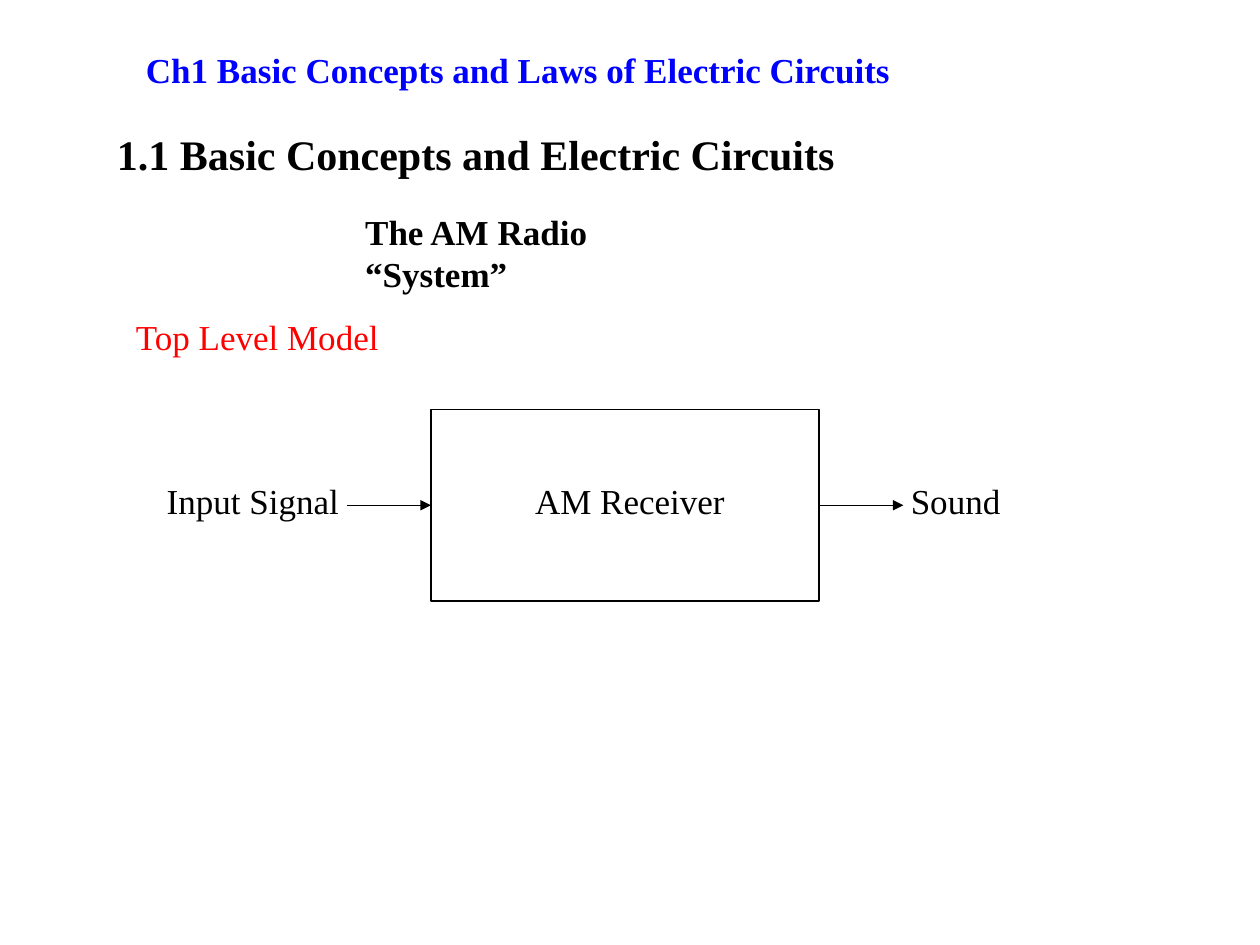
from lxml import etree
from pptx import Presentation
from pptx.dml.color import RGBColor
from pptx.enum import shapes, text
from pptx.oxml import ns
from pptx.util import Inches, Pt

BLACK = RGBColor(0, 0, 0)
BLUE = RGBColor(0, 0, 255)
RED = RGBColor(255, 0, 0)
LEFT, CENTER, RIGHT = text.PP_ALIGN.LEFT, text.PP_ALIGN.CENTER, text.PP_ALIGN.RIGHT

HEADINGS = [
    ("Ch1 Basic Concepts and Laws of Electric Circuits", (1.06, 0.28, 8.19, 0.55), 20, BLUE, True, LEFT),
    ("1.1 Basic Concepts and Electric Circuits", (0.83, 0.97, 6.08, 0.5), 24, BLACK, True, LEFT),
    ("The AM Radio “System”", (2.8, 1.62, 3.14, 0.77), 20, BLACK, True, LEFT),
    ("Top Level Model", (0.98, 2.45, 4.72, 0.44), 20, RED, False, LEFT),
]
LABELS = [
    ("AM Receiver", (3.5, 3.75, 3, 0.44), 20, BLACK, False, CENTER),
    ("Input Signal", (1.03, 3.75, 1.76, 0.44), 20, BLACK, False, RIGHT),
    ("Sound", (7.13, 3.75, 1.29, 0.44), 20, BLACK, False, LEFT),
]
RECEIVER = (3.42, 3.25, 3.08, 1.52)
ARROW_LENGTH = 0.67


def add_label(page, words, place, size, color, bold, align):
    box = page.shapes.add_textbox(*map(Inches, place))
    frame = box.text_frame
    frame.word_wrap = True
    frame.vertical_anchor = text.MSO_ANCHOR.MIDDLE
    para = frame.paragraphs[0]
    para.alignment = align
    span = para.add_run()
    span.text = words
    for name, value in {"name": "Times New Roman", "size": Pt(size), "bold": bold}.items():
        setattr(span.font, name, value)
    span.font.color.rgb = color


def outline(shape):
    shape.line.color.rgb = BLACK
    shape.line.width = Pt(0.75)


def add_arrow(page, start, end):
    arrow = page.shapes.add_connector(
        shapes.MSO_CONNECTOR.STRAIGHT, *map(Inches, start + end))
    outline(arrow)
    etree.SubElement(arrow.line._get_or_add_ln(), ns.qn("a:tailEnd"), type="triangle")
    etree.SubElement(arrow._element.spPr, ns.qn("a:effectLst"))
    return arrow


def main():
    deck = Presentation()
    deck.slide_width, deck.slide_height = Inches(10), Inches(7.5)
    page = deck.slides.add_slide(deck.slide_layouts[6])

    for heading in HEADINGS:
        add_label(page, *heading)

    receiver = page.shapes.add_shape(shapes.MSO_SHAPE.RECTANGLE, *map(Inches, RECEIVER))
    receiver.shadow.inherit = False
    receiver.fill.background()
    outline(receiver)

    left, top, width, height = RECEIVER
    right, middle = left + width, top + height / 2
    incoming = add_arrow(page, (left - ARROW_LENGTH, middle), (left, middle))
    incoming.end_connect(receiver, 1)
    outgoing = add_arrow(page, (right, middle), (right + ARROW_LENGTH, middle))
    outgoing.begin_connect(receiver, 3)

    for label in LABELS:
        add_label(page, *label)

    deck.save("out.pptx")


if __name__ == "__main__":
    main()
